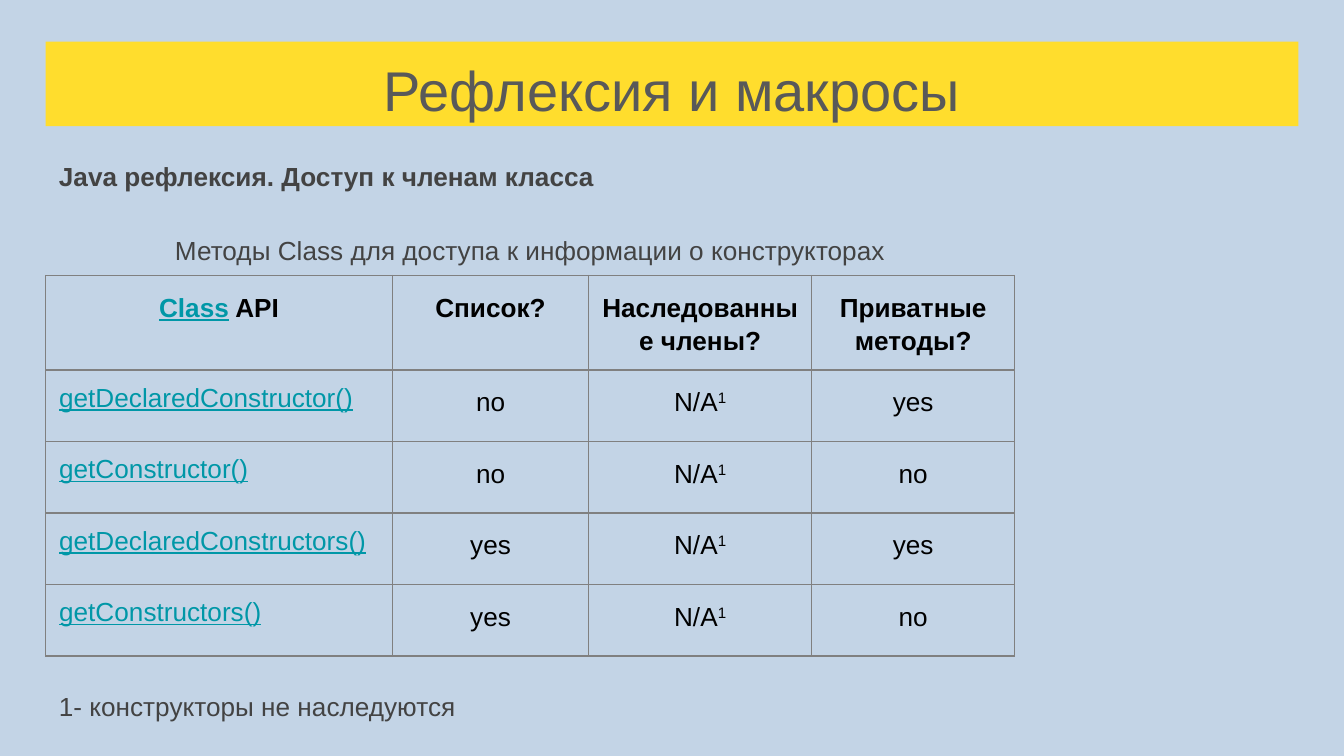
"""Builds the slide about reflective access to class constructors."""
import pptx
import pptx.dml.color
import pptx.enum.shapes
import pptx.enum.text
import pptx.oxml
import pptx.oxml.ns
import pptx.util

Inches = pptx.util.Inches
Align = pptx.enum.text.PP_ALIGN
Anchor = pptx.enum.text.MSO_ANCHOR

COLORS = {"page": "C3D4E6", "banner": "FFDD2D", "title": "595959", "body": "434343",
          "link": "0097A7", "cell": "000000", "border": "808080"}
FONT = "Arial"
WIDTH = 10
HEIGHT = WIDTH * 9 / 16
MARGIN, INSET = 0.34, 0.1
FULL, NOTE = WIDTH - 2 * MARGIN, 7.11

TITLE = "Рефлексия и макросы"
LABELS = [
    ("Java рефлексия. Доступ к членам класса",
     (MARGIN, 1.09, FULL, 0.43), Align.LEFT, Anchor.TOP, True),
    ("Методы Class для доступа к информации о конструкторах",
     (0.39, 1.75, NOTE, 0.22), Align.CENTER, Anchor.MIDDLE, False),
    ("1- конструкторы не наследуются",
     (MARGIN, 5.14, NOTE, 0.22), Align.LEFT, Anchor.MIDDLE, False),
]
HEADINGS = ["Список?", "Наследованные члены?", "Приватные методы?"]
METHODS = [
    ("getDeclaredConstructor()", "no", "yes"),
    ("getConstructor()", "no", "no"),
    ("getDeclaredConstructors()", "yes", "yes"),
    ("getConstructors()", "yes", "no"),
]
COLUMNS = [2.58, 1.46, 1.66, 1.51]
TABLE_TOP, TABLE_HEIGHT, HEADER_HEIGHT = 2.05, 2.83, 0.7
ROW_HEIGHT = (TABLE_HEIGHT - HEADER_HEIGHT) / len(METHODS)


def color(name):
    return pptx.dml.color.RGBColor.from_string(COLORS[name])


def add_span(para, text, tint, size=14, bold=False, raised=False):
    span = para.add_run()
    span.text = text
    span.font.name = FONT
    span.font.size = pptx.util.Pt(size)
    span.font.bold = bold
    span.font.underline = tint == "link"
    span.font.color.rgb = color(tint)
    if raised:
        span.font._element.set("baseline", "30000")


def set_insets(holder):
    for side in ("left", "top", "right", "bottom"):
        setattr(holder, "margin_" + side, Inches(INSET))


def prepare_text(box, align, anchor):
    frame = box.text_frame
    frame.word_wrap = True
    frame.vertical_anchor = anchor
    set_insets(frame)
    para = frame.paragraphs[0]
    para.alignment = align
    return para


def add_banner(page):
    banner = page.shapes.add_shape(
        pptx.enum.shapes.MSO_SHAPE.RECTANGLE,
        *map(Inches, (MARGIN, 0.31, FULL, 0.63)))
    banner.shadow.inherit = False
    banner.fill.solid()
    banner.fill.fore_color.rgb = color("banner")
    banner.line.fill.background()
    add_span(prepare_text(banner, Align.CENTER, Anchor.TOP), TITLE, "title", 30)


def add_label(page, text, place, align, anchor, bold):
    box = page.shapes.add_textbox(*map(Inches, place))
    add_span(prepare_text(box, align, anchor), text, "body", bold=bold)


def add_borders(cell):
    properties = cell._tc.get_or_add_tcPr()
    for index, side in enumerate("LRTB"):
        properties.insert(index, pptx.oxml.parse_xml(
            f'<a:ln{side} {pptx.oxml.ns.nsdecls("a")} w="9525"><a:solidFill>'
            f'<a:srgbClr val="{COLORS["border"]}"/></a:solidFill></a:ln{side}>'))


def table_rows():
    yield [[("Class", "link"), (" API", "cell")]] + [[(text, "cell")] for text in HEADINGS]
    for method, listed, private in METHODS:
        yield [[(method, "link")], [(listed, "cell")],
               [("N/A", "cell"), ("1", "cell")], [(private, "cell")]]


def add_methods_table(page):
    heights = [HEADER_HEIGHT] + [ROW_HEIGHT] * len(METHODS)
    table = page.shapes.add_table(
        len(heights), len(COLUMNS),
        *map(Inches, (MARGIN, TABLE_TOP, sum(COLUMNS), TABLE_HEIGHT))).table
    table.first_row = table.horz_banding = False
    for column, width in zip(table.columns, COLUMNS):
        column.width = Inches(width)
    for row, height in zip(table.rows, heights):
        row.height = Inches(height)
    for row_index, row in enumerate(table_rows()):
        for column_index, spans in enumerate(row):
            cell = table.cell(row_index, column_index)
            set_insets(cell)
            cell.fill.background()
            add_borders(cell)
            para = cell.text_frame.paragraphs[0]
            if row_index == 0 or column_index > 0:
                para.alignment = Align.CENTER
                para.line_spacing = 1.15
            for text, tint in spans:
                add_span(para, text, tint, bold=row_index == 0, raised=text == "1")


def main():
    deck = pptx.Presentation()
    deck.slide_width, deck.slide_height = Inches(WIDTH), Inches(HEIGHT)
    page = deck.slides.add_slide(deck.slide_layouts[6])
    page.background.fill.solid()
    page.background.fill.fore_color.rgb = color("page")
    add_banner(page)
    add_methods_table(page)
    for label in LABELS:
        add_label(page, *label)
    deck.save("out.pptx")


if __name__ == "__main__":
    main()
